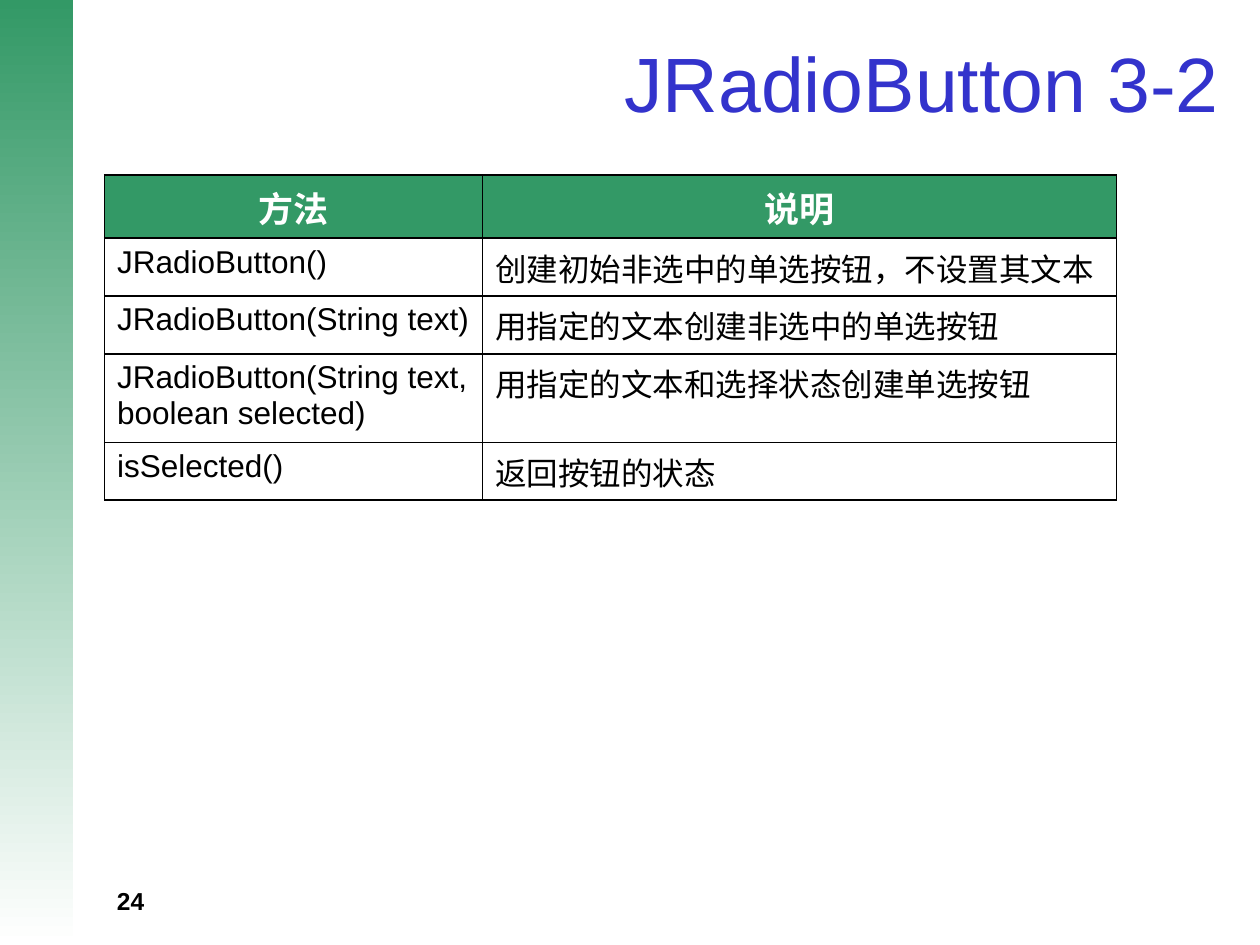
from lxml import etree
from pptx import Presentation
from pptx.dml.color import RGBColor
from pptx.enum.shapes import MSO_SHAPE
from pptx.enum.text import MSO_ANCHOR, PP_ALIGN
from pptx.oxml.ns import qn
from pptx.util import Inches, Pt

RECT = MSO_SHAPE.RECTANGLE
MID, TOP = MSO_ANCHOR.MIDDLE, MSO_ANCHOR.TOP
LEFT, RIGHT = PP_ALIGN.LEFT, PP_ALIGN.RIGHT
CENTER, JUST = PP_ALIGN.CENTER, PP_ALIGN.JUSTIFY
HEX = {"green": "339966", "white": "FFFFFF", "black": "000000", "blue": "3333CC"}
COLOR = {name: RGBColor.from_string(code) for name, code in HEX.items()}


def write(frame, text, size, color, align, bold=False):
    """Fill a text frame, one paragraph per line."""
    frame.text = text
    frame.word_wrap = True
    for para in frame.paragraphs:
        para.alignment = align
        font = para.runs[0].font
        font.color.rgb = COLOR[color]
        for key, val in {"name": "Arial", "size": Pt(size), "bold": bold}.items():
            setattr(font, key, val)


def edge(cell):
    """Draw a thin black line on each side of a cell."""
    props = cell._tc.get_or_add_tcPr()
    for spot, side in enumerate(("a:lnL", "a:lnR", "a:lnT", "a:lnB")):
        line = etree.Element(qn(side), w=str(Pt(1)))
        fill = etree.SubElement(line, qn("a:solidFill"))
        etree.SubElement(fill, qn("a:srgbClr"), val=HEX["black"])
        props.insert(spot, line)


prs = Presentation()
prs.slide_width, prs.slide_height = Inches(10), Inches(7.5)
slide = prs.slides.add_slide(prs.slide_layouts[5])
shapes = slide.shapes
left = Inches(0.83)

# Green band down the left side
band = shapes.add_shape(RECT, 0, 0, Inches(0.58), prs.slide_height)
band.shadow.inherit = False
band.line.fill.background()
band.fill.gradient()
band.fill.gradient_angle = 270
for stop, name, pos in zip(band.fill.gradient_stops, ("green", "white"), (0, 1)):
    stop.color.rgb = COLOR[name]
    stop.position = pos

# Title
title = shapes.title
place = {"left": -0.2, "top": 0.21, "width": 9.98, "height": 0.87}
for key, val in place.items():
    setattr(title, key, Inches(val))
write(title.text_frame, "JRadioButton 3-2", 44, "blue", RIGHT)
title.text_frame.vertical_anchor = MID

# Page number
page = shapes.add_textbox(left, Inches(6.98), Inches(2.33), Inches(0.24))
write(page.text_frame, "24", 14, "black", LEFT, True)

# Table of methods
rows = [
    ("方法", "说明"),
    ("JRadioButton()", "创建初始非选中的单选按钮，不设置其文本"),
    ("JRadioButton(String text)", "用指定的文本创建非选中的单选按钮"),
    ("JRadioButton(String text,\nboolean selected)", "用指定的文本和选择状态创建单选按钮"),
    ("isSelected()", "返回按钮的状态"),
]
wide = (3, 5.03)
high = (0.5, 0.46, 0.46, 0.66, 0.46)
table = shapes.add_table(len(rows), len(wide), left, Inches(1.39),
                         Inches(sum(wide)), Inches(sum(high))).table
for col, size in zip(table.columns, wide):
    col.width = Inches(size)
for r, texts in enumerate(rows):
    table.rows[r].height = Inches(high[r])
    for c, text in enumerate(texts):
        cell = table.cell(r, c)
        cell.vertical_anchor = TOP
        cell.fill.solid()
        cell.fill.fore_color.rgb = COLOR["white" if r else "green"]
        if r:
            align = LEFT if "\n" in text else JUST
            write(cell.text_frame, text, 18, "black", align)
        else:
            write(cell.text_frame, text, 20, "white", CENTER, True)
        # Hanging indent
        for para in cell.text_frame.paragraphs:
            props = para._p.get_or_add_pPr()
            props.set("marL", str(Inches(0.38)))
            props.set("indent", str(-Inches(0.38)))
        edge(cell)

prs.save("out.pptx")
